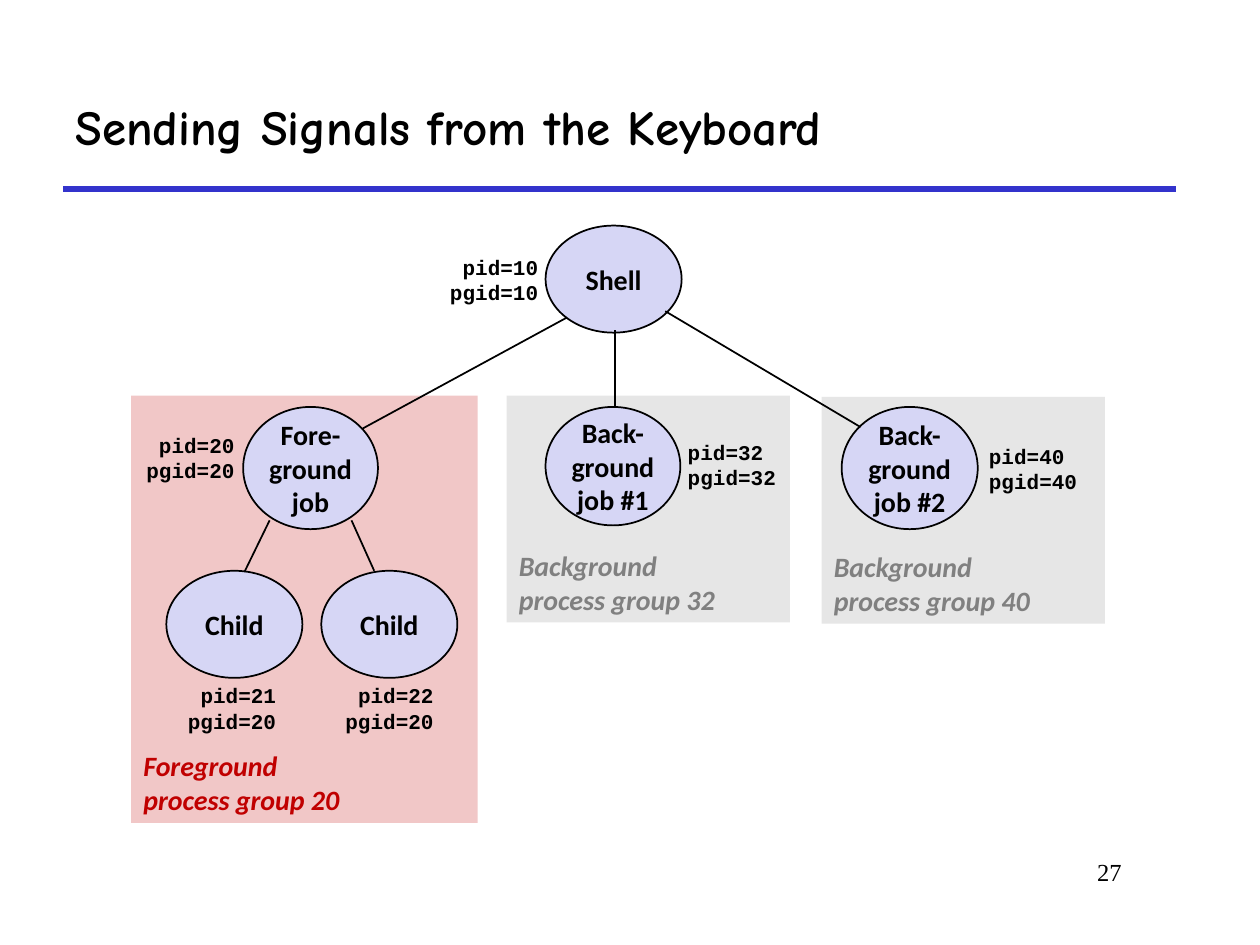
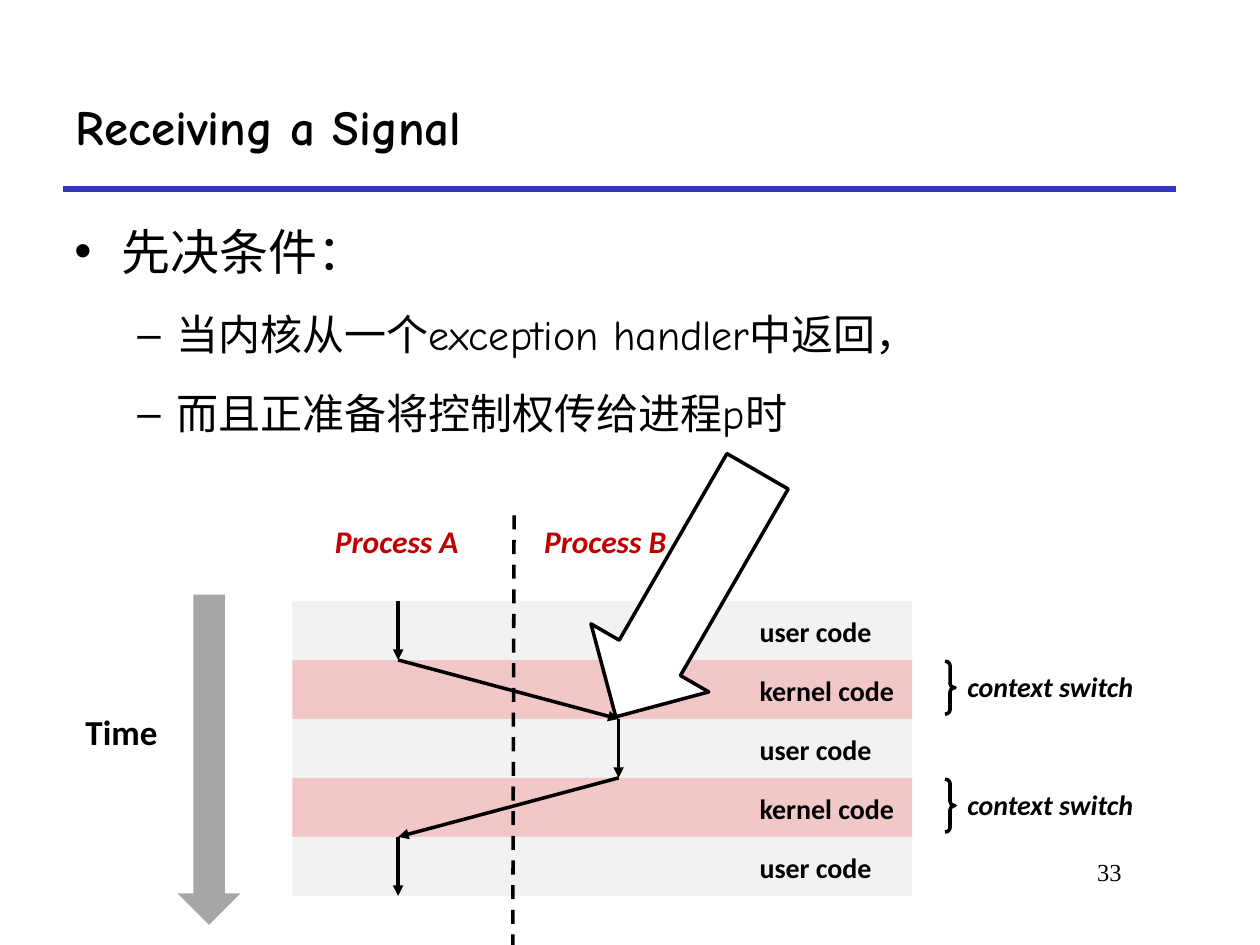
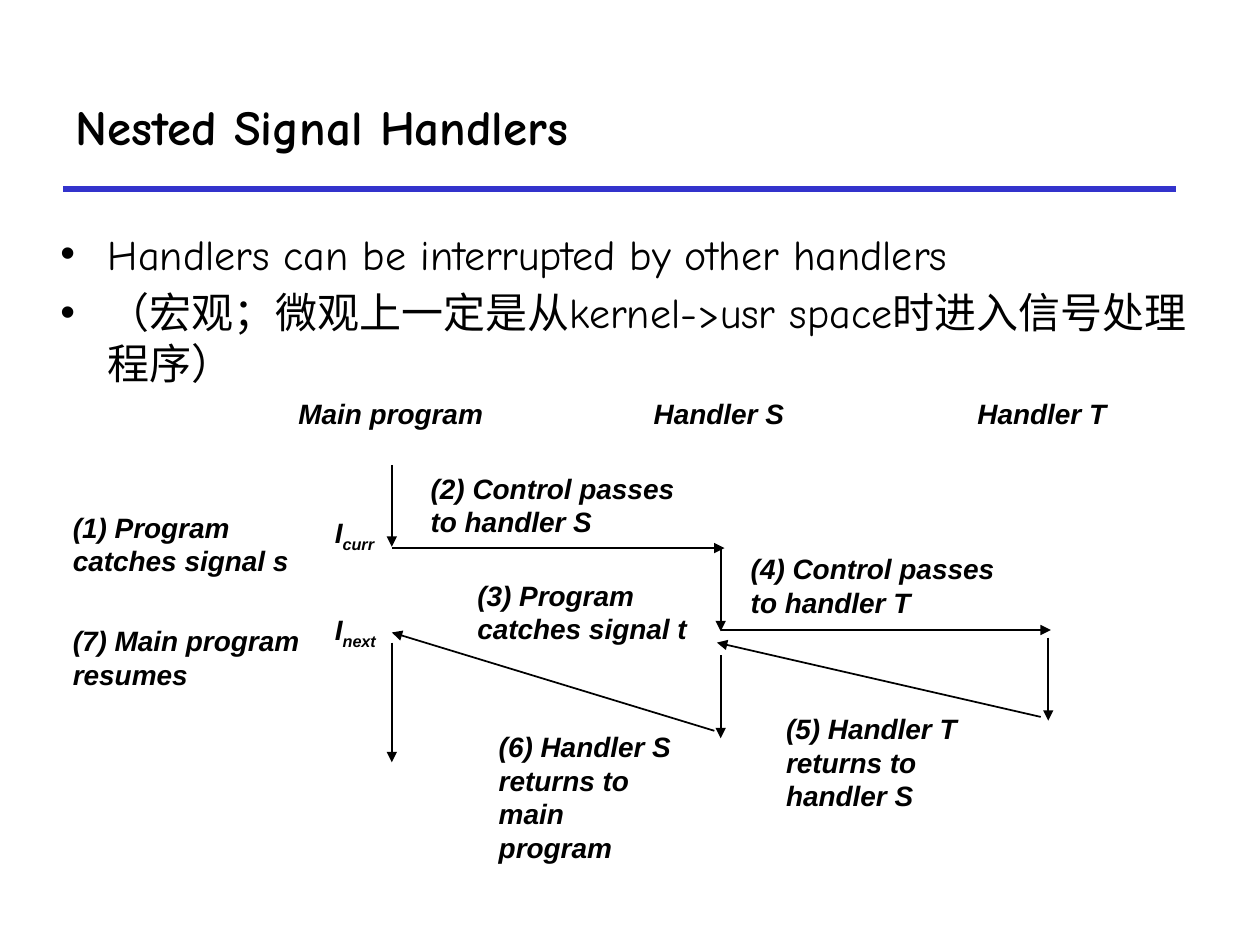
from collections import namedtuple
from itertools import pairwise

from lxml import etree
from pptx import Presentation
from pptx import util as u
from pptx.dml.color import RGBColor
from pptx.enum import dml, shapes, text
from pptx.oxml.ns import qn

# Lengths are columns and rows of a 10 x 7.5 grid of square cells
COLUMNS, ROWS = 10, 7.5
CELL = u.Inches(1)

BLACK = RGBColor(0x00, 0x00, 0x00)
WHITE = RGBColor(0xFF, 0xFF, 0xFF)
RULE_BLUE = RGBColor(0x33, 0x33, 0xCC)
NODE_LILAC = RGBColor(0xD6, 0xD6, 0xF5)
PINK = RGBColor(0xF1, 0xC7, 0xC7)
PALE_GREY = RGBColor(0xE6, 0xE6, 0xE6)
USER_GREY = RGBColor(0xF2, 0xF2, 0xF2)
ARROW_GREY = RGBColor(0xA6, 0xA6, 0xA6)
CAPTION_GREY = RGBColor(0x80, 0x80, 0x80)
RED = RGBColor(0xC0, 0x00, 0x00)

LEFT, CENTER, RIGHT = text.PP_ALIGN.LEFT, text.PP_ALIGN.CENTER, text.PP_ALIGN.RIGHT
TOP, MIDDLE = text.MSO_ANCHOR.TOP, text.MSO_ANCHOR.MIDDLE
SHAPE = shapes.MSO_SHAPE

Style = namedtuple("Style", "font size color bold italic", defaults=(BLACK, True, False))
TITLE = Style("Comic Neue", 28)
BODY_LARGE = Style("Comic Neue", 28, bold=False)
BODY = Style("Comic Neue", 24, bold=False)
NUMBER = Style("Times New Roman", 14, bold=False)
NODE = Style("Calibri", 16)
PID = Style("Courier New", 12)
RED_CAPTION = Style("Calibri", 16, RED, italic=True)
GREY_CAPTION = Style("Calibri", 16, CAPTION_GREY, italic=True)
PROCESS = Style("Calibri", 18, RED, italic=True)
SWITCH = Style("Calibri", 16, italic=True)
TIME = Style("Calibri", 20)
STEP = Style("Arial", 16, italic=True)


class Box(namedtuple("Box", "left top width height")):
    def inner(self, left, top, width, height):
        """Box placed relative to this one."""
        return Box(self.left + left, self.top + top, width, height)

    def point(self, x, y):
        return self.left + x, self.top + y


def cells(*lengths):
    return [u.Emu(round(length * CELL)) for length in lengths]


def add_run(paragraph, words, style):
    run = paragraph.add_run()
    run.text = words
    font = run.font
    font.name, font.size = style.font, u.Pt(style.size)
    font.bold, font.italic = style.bold, style.italic
    font.color.rgb = style.color
    return run


def write(frame, lines, style, align=LEFT, anchor=TOP, wrap=False):
    frame.word_wrap = wrap
    frame.vertical_anchor = anchor
    for index, line in enumerate(lines):
        paragraph = frame.add_paragraph() if index else frame.paragraphs[0]
        paragraph.alignment = align
        add_run(paragraph, line, style)


def add_text(slide, box, lines, style, **layout):
    shape = slide.shapes.add_textbox(*cells(*box))
    write(shape.text_frame, lines, style, **layout)
    return shape


def add_shape(slide, kind, box, fill=None, line=None):
    shape = slide.shapes.add_shape(kind, *cells(*box))
    shape.shadow.inherit = False
    if fill is None:
        shape.fill.background()
    else:
        shape.fill.solid()
        shape.fill.fore_color.rgb = fill
    if line is None:
        shape.line.fill.background()
    else:
        shape.line.color.rgb = BLACK
        shape.line.width = u.Pt(line)
    return shape


def add_line(slide, start, end, width=1, color=BLACK, arrow=False, dash=False):
    connector = slide.shapes.add_connector(
        shapes.MSO_CONNECTOR.STRAIGHT, *cells(*start, *end))
    connector.line.color.rgb = color
    connector.line.width = u.Pt(width)
    if dash:
        connector.line.dash_style = dml.MSO_LINE.DASH
    properties = connector._element.spPr
    if arrow:
        etree.SubElement(properties.find(qn("a:ln")), qn("a:tailEnd"), type="triangle")
    etree.SubElement(properties, qn("a:effectLst"))


def place(placeholder, box):
    (placeholder.left, placeholder.top,
     placeholder.width, placeholder.height) = cells(*box)


# Title, rule and page number shared by all slides
def start_slide(presentation, title, number=None, has_body=False):
    slide = presentation.slides.add_slide(presentation.slide_layouts[1 if has_body else 5])
    add_line(slide, (0.5, 1.5), (9.33, 1.5), 3, RULE_BLUE)
    place(slide.shapes.title, Box(0.5, 0.5, 8.83, 1))
    frame = slide.shapes.title.text_frame
    frame.auto_size = text.MSO_AUTO_SIZE.NONE
    write(frame, [title], TITLE, anchor=MIDDLE, wrap=True)
    if number:
        add_text(slide, Box(7.58, 6.75, 1.42, 0.5), [number], NUMBER, align=RIGHT, wrap=True)
    return slide


def fill_body(slide, box, items, spacing=None):
    body = slide.placeholders[1]
    place(body, box)
    frame = body.text_frame
    frame.auto_size = text.MSO_AUTO_SIZE.NONE
    for index, (level, words, style) in enumerate(items):
        paragraph = frame.add_paragraph() if index else frame.paragraphs[0]
        paragraph.level = level
        paragraph.line_spacing = spacing
        add_run(paragraph, words, style)


# Process tree
def add_node(slide, box, lines):
    node = add_shape(slide, SHAPE.OVAL, box, NODE_LILAC, 1)
    write(node.text_frame, lines, NODE, CENTER, MIDDLE)


def add_pid(slide, box, left, top, pid, pgid, align=RIGHT):
    add_text(slide, box.inner(left, top, 0.91, 0.5), [f"pid={pid}", f"pgid={pgid}"],
             PID, align=align, anchor=MIDDLE)


def add_group(slide, box, fill, caption, style):
    add_shape(slide, SHAPE.RECTANGLE, box, fill)
    add_text(slide, box.inner(0, box.height - 0.64, 1.93, 0.64), caption, style,
             anchor=MIDDLE, wrap=True)


def foreground_group(slide, box):
    add_group(slide, box, PINK, ["Foreground", "process group 20"], RED_CAPTION)
    add_node(slide, box.inner(0.89, 0.09, 1.07, 0.97), ["Fore-", "ground", "job"])
    add_pid(slide, box, 0.01, 0.24, 20, 20)
    for index, pid in enumerate((21, 22)):
        add_node(slide, box.inner(0.28 + 1.23 * index, 1.39, 1.08, 0.85), ["Child"])
        add_pid(slide, box, 0.34 + 1.25 * index, 2.23, pid, 20)
    add_line(slide, box.point(1.1, 0.99), box.point(0.9, 1.4))
    add_line(slide, box.point(1.75, 0.99), box.point(1.93, 1.39))


def background_group(slide, box, job, pid, node, pid_at):
    add_group(slide, box, PALE_GREY, ["Background", f"process group {pid}"], GREY_CAPTION)
    add_node(slide, box.inner(*node), ["Back-", "ground", f"job #{job}"])
    add_pid(slide, box, *pid_at, pid, pid, LEFT)


def shell(slide, box):
    add_node(slide, box, ["Shell"])
    add_pid(slide, box, -0.87, 0.18, 10, 10)
    for start, end in (((0.17, 0.73), (-1.45, 1.61)),
                       ((0.55, 0.83), (0.55, 1.44)),
                       ((0.95, 0.68), (2.5, 1.6))):
        add_line(slide, box.point(*start), box.point(*end))


def keyboard_slide(presentation):
    slide = start_slide(presentation, "Sending Signals from the Keyboard", "27")
    foreground_group(slide, Box(1.04, 3.14, 2.75, 3.39))
    background_group(slide, Box(4.02, 3.14, 2.25, 1.8), 1, 32,
                     (0.31, 0.09, 1.07, 0.94), (1.34, 0.3))
    background_group(slide, Box(6.52, 3.15, 2.25, 1.8), 2, 40,
                     (0.16, 0.08, 1.08, 0.97), (1.23, 0.32))
    shell(slide, Box(4.33, 1.79, 1.08, 0.85))


# Context switches between two processes
def switch_timeline(slide, box):
    modes = ["user", "kernel", "user", "kernel", "user"]
    row = box.height / len(modes)
    process_a, process_b = 0.84, 2.59

    # Bands, with a brace beside each switch
    for index, mode in enumerate(modes):
        top = index * row
        fill = PINK if mode == "kernel" else USER_GREY
        add_shape(slide, SHAPE.RECTANGLE, box.inner(0, top, box.width, row), fill)
        add_text(slide, box.inner(3.61, top + 0.06, 1.28, 0.37), [f"{mode} code"], NODE)
        if mode == "kernel":
            brace = add_shape(slide, SHAPE.RIGHT_BRACE,
                              box.inner(5.18, top + 0.01, 0.08, 0.42), line=2)
            brace.adjustments[0] = 0.42
            add_text(slide, box.inner(5.26, top + 0.03, 1.54, 0.37),
                     ["context switch"], SWITCH)

    # Process names and the border between them
    for left, name in ((0.24, "Process A"), (1.9, "Process B")):
        add_text(slide, box.inner(left, -0.68, 1.2, 0.4), [name], PROCESS)
    add_line(slide, box.point(1.76, -0.68), box.point(1.75, ROWS - box.top), 2, dash=True)

    # Flow of control, one step a band
    lanes = [process_a, process_a, process_b, process_b, process_a, process_a]
    stops = [box.point(lane, index * row) for index, lane in enumerate(lanes)]
    for start, end in pairwise(stops):
        add_line(slide, start, end, 2, arrow=True)

    # Time axis
    add_text(slide, box.inner(-1.74, 0.82, 0.89, 0.5), ["Time"], TIME)
    add_shape(slide, SHAPE.DOWN_ARROW, box.inner(-0.91, -0.05, 0.5, 2.62), ARROW_GREY)

    # Pointer to the moment the signal is received
    pointer = add_shape(slide, SHAPE.DOWN_ARROW,
                        box.inner(process_b, -1.18, 1.08, 2.25), WHITE, 2)
    pointer.adjustments[0] = 0.52
    pointer.rotation = 30


def receiving_slide(presentation):
    slide = start_slide(presentation, "Receiving a Signal", "33", has_body=True)
    fill_body(slide, Box(0.49, 1.52, 8.83, 4.83), [
        (0, "先决条件：", BODY_LARGE),
        (1, "当内核从一个exception handler中返回，", BODY),
        (1, "而且正准备将控制权传给进程p时", BODY),
    ], 1.4)
    switch_timeline(slide, Box(2.32, 4.77, 4.92, 2.34))


# Handlers that interrupt each other
def handler_flow(slide, box):
    main_lane, handler_s, handler_t = 2.63, 5.24, 7.84
    for left, name in ((1.79, "Main program"), (4.61, "Handler S"), (7.18, "Handler T")):
        add_text(slide, box.inner(left, 0, 1.8, 0.37), [name], STEP, wrap=True)

    for left, top, width, lines in (
        (0, 0.9, 2.1, ["(1) Program catches signal s"]),
        (2.84, 0.59, 2.24, ["(2) Control passes to handler S"]),
        (3.21, 1.44, 2.03, ["(3) Program catches signal t"]),
        (5.38, 1.23, 2.31, ["(4) Control passes to handler T"]),
        (5.66, 2.5, 1.62, ["(5) Handler T", "returns to handler S"]),
        (3.38, 2.64, 1.62, ["(6) Handler S", "returns to main program"]),
        (0, 1.8, 2.1, ["(7) Main program resumes"]),
    ):
        height = 0.64 if len(lines) == 1 else 0.91
        add_text(slide, box.inner(left, top, width, height), lines, STEP, wrap=True)

    # Instructions with subscripts
    for top, subscript in ((0.94, "curr"), (1.71, "next")):
        label = add_text(slide, box.inner(2.08, top, 0.6, 0.37), ["I"], STEP)
        run = add_run(label.text_frame.paragraphs[0], subscript, STEP)
        run.font._element.set("baseline", "-25000")

    for start, end in (
        ((main_lane, 0.59), (main_lane, 1.24)),
        ((main_lane, 1.25), (handler_s + 0.03, 1.25)),
        ((handler_s, 1.26), (handler_s, 1.91)),
        ((handler_s, 1.9), (handler_t + 0.02, 1.9)),
        ((handler_t, 1.96), (handler_t, 2.62)),
        ((handler_t - 0.06, 2.59), (handler_s - 0.03, 2)),
        ((handler_s, 2.1), (handler_s, 2.76)),
        ((handler_s - 0.05, 2.7), (main_lane, 1.92)),
        ((main_lane, 2), (main_lane, 2.95)),
    ):
        add_line(slide, box.point(*start), box.point(*end), arrow=True)


def nested_slide(presentation):
    slide = start_slide(presentation, "Nested Signal Handlers", has_body=True)
    fill_body(slide, Box(0.38, 1.76, 9.37, 0.68), [
        (0, "Handlers can be interrupted by other handlers", BODY),
        (0, "（宏观；微观上一定是从kernel->usr space时进入信号处理程序）", BODY),
    ])
    handler_flow(slide, Box(0.48, 3.1, 8.52, 3.82))


def main():
    presentation = Presentation()
    presentation.slide_width, presentation.slide_height = cells(COLUMNS, ROWS)
    keyboard_slide(presentation)
    receiving_slide(presentation)
    nested_slide(presentation)
    presentation.save("out.pptx")


if __name__ == "__main__":
    main()
